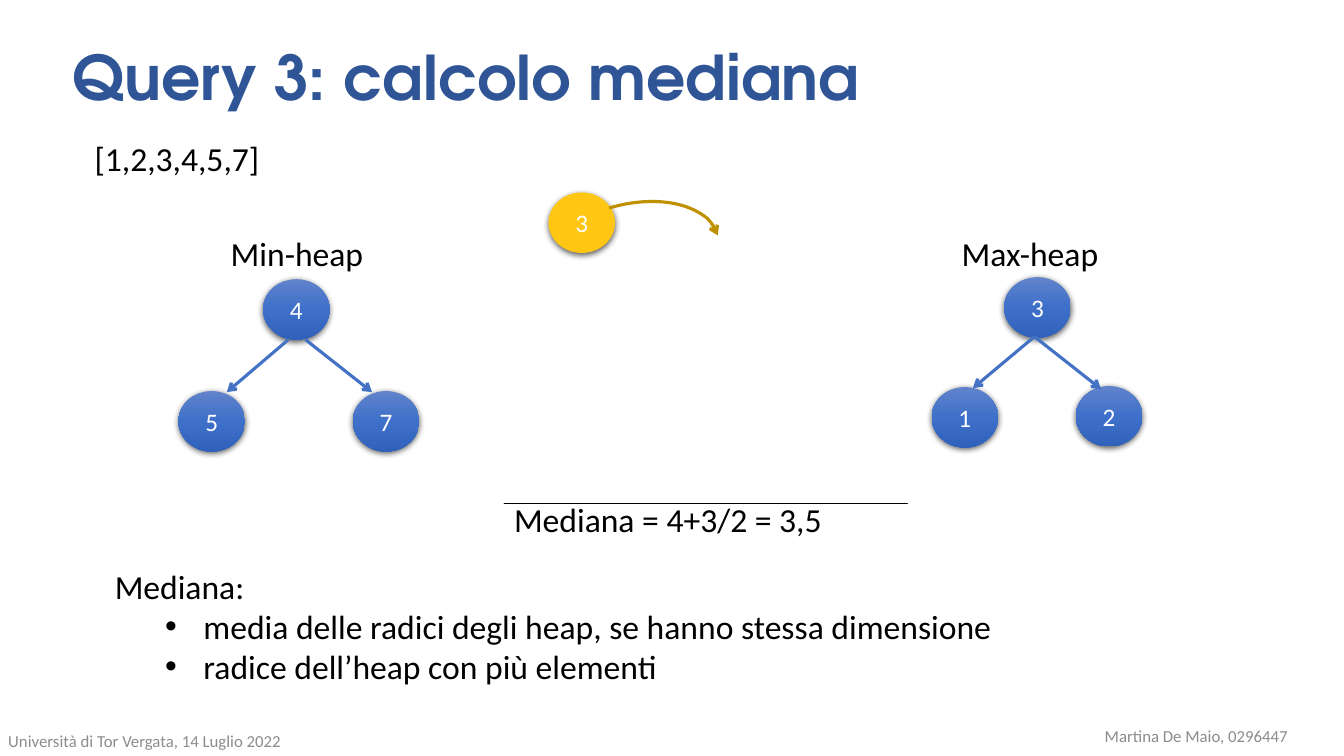
"""Build the slide that computes a median with a min-heap and a max-heap."""
from copy import deepcopy

from lxml.etree import SubElement
from pptx import Presentation
from pptx.dml.color import RGBColor
from pptx.enum.shapes import MSO_CONNECTOR, MSO_SHAPE
from pptx.enum.text import MSO_ANCHOR, MSO_AUTO_SIZE, PP_ALIGN
from pptx.oxml.ns import qn
from pptx.util import Inches, Pt

THEME = {
    "body_font": "Calibri", "title_font": "TeX Gyre Adventor",
    "title_size": 44, "body_size": 24, "node_size": 18, "footer_size": 12,
    "title": "2F5597", "text": "000000", "footer": "8C8C8C", "node_text": "FFFFFF",
    "node_gradient": [(0, "6183CB"), (0.5, "3E70CA"), (1, "3062BB")],
    "new_node": "FFC613", "edge": "4472C4", "arc": "BF9000",
    "edge_width": 2.25, "frame_width": 0.75,
}
TITLE = ("Query 3: calcolo mediana", (0.62, 0.07, 11.5, 1.45))
FOOTERS = [
    ("Martina De Maio, 0296447", (10.29, 7.1, 3.15, 0.4)),
    ("Università di Tor Vergata, 14 Luglio 2022", (-0.14, 7.15, 3.15, 0.4)),
]
SEQUENCE = ("[1,2,3,4,5,7]", (0.84, 1.32, 6.79, 0.5))
HEAPS = [
    {"label": ("Min-heap", (2.19, 2.26, 1.64, 0.5)),
     "nodes": [("4", 2.61, 2.77), ("5", 1.77, 3.88), ("7", 3.5, 3.88)],
     "edges": [(2.86, 3.37, 2.25, 3.89), (3.03, 3.37, 3.69, 3.89)]},
    {"label": ("Max-heap", (9.44, 2.26, 1.7, 0.5)),
     "nodes": [("3", 9.96, 2.75), ("1", 9.24, 3.84), ("2", 10.67, 3.83)],
     "edges": [(10.26, 3.34, 9.65, 3.85), (10.26, 3.34, 10.92, 3.86)]},
]
NODE_SIZE = (0.66, 0.6)
NEW_NODE = ("3", 5.44, 1.91)
ARC_PLACE = (5.25, 2.04, 1.91, 1.14)
ARC_ROTATION = 343.3
RESULT = "Mediana = 4+3/2 = 3,5"
FRAME_START = (4.66, 4.67)
FRAME_CURVES = [
    ((5.49, 4.61), (8.39, 4.77), (8.87, 4.67)),
    ((8.92, 4.8), (8.9, 5.12), (8.87, 5.17)),
    ((8.43, 5.23), (5.12, 5.11), (4.66, 5.17)),
    ((4.69, 4.94), (4.65, 4.83), (4.66, 4.67)),
]
CURVE_STEPS = 24
RULE_TITLE = "Mediana:"
RULES = [
    "media delle radici degli heap, se hanno stessa dimensione",
    "radice dell’heap con più elementi",
]
RULES_PLACE = (1.04, 5.56, 12.1, 1.31)
RULE_INDENT = (0.88, -0.38)


def color(name):
    return RGBColor.from_string(name)


def inches(values):
    return [Inches(value) for value in values]


def write(frame, lines, size, ink, font="body_font", align=PP_ALIGN.LEFT, bold=False):
    frame.text = "\n".join(lines)
    for para in frame.paragraphs:
        para.alignment = align
        for span in para.runs:
            span.font.name = THEME[font]
            span.font.size = Pt(THEME[size])
            span.font.bold = bold
            span.font.color.rgb = color(THEME[ink])


def add_text(page, lines, place, size="body_size", ink="text", wrap=True,
             anchor=MSO_ANCHOR.TOP, **style):
    frame = page.shapes.add_textbox(*inches(place)).text_frame
    frame.word_wrap = wrap
    frame.vertical_anchor = anchor
    write(frame, lines, size, ink, **style)
    return frame


def fill_gradient(shape, stops):
    shape.fill.gradient()
    shape.fill.gradient_angle = 270
    stop_list = shape._element.spPr.find(qn("a:gradFill")).find(qn("a:gsLst"))
    stop_list.insert(1, deepcopy(stop_list[0]))
    for stop, (position, name) in zip(shape.fill.gradient_stops, stops):
        stop.position = position
        stop.color.rgb = color(name)


def add_shadow(shape):
    shape.shadow.inherit = False
    effects = shape._element.spPr.find(qn("a:effectLst"))
    shadow = SubElement(effects, qn("a:outerShdw"), blurRad=str(Pt(4.5)),
                        dist=str(Pt(1.5)), dir="5400000", algn="ctr", rotWithShape="0")
    black = SubElement(shadow, qn("a:srgbClr"), val="000000")
    SubElement(black, qn("a:alpha"), val="63000")


def add_node(page, label, left, top, solid=None):
    node = page.shapes.add_shape(MSO_SHAPE.OVAL, *inches((left, top, *NODE_SIZE)))
    if solid:
        node.fill.solid()
        node.fill.fore_color.rgb = color(solid)
    else:
        fill_gradient(node, THEME["node_gradient"])
    node.line.fill.background()
    add_shadow(node)
    node.text_frame.vertical_anchor = MSO_ANCHOR.MIDDLE
    write(node.text_frame, [label], "node_size", "node_text", align=PP_ALIGN.CENTER)


def style_arrow(shape, ink):
    shape.line.color.rgb = color(THEME[ink])
    shape.line.width = Pt(THEME["edge_width"])
    SubElement(shape.line._get_or_add_ln(), qn("a:tailEnd"), type="arrow")


def add_heap(page, heap):
    label, place = heap["label"]
    add_text(page, [label], place, wrap=False)
    for node in heap["nodes"]:
        add_node(page, *node)
    for edge in heap["edges"]:
        arrow = page.shapes.add_connector(MSO_CONNECTOR.STRAIGHT, *inches(edge))
        style_arrow(arrow, "edge")
        SubElement(arrow._element.spPr, qn("a:effectLst"))


def curve_points(start, curves):
    points = []
    for first, second, end in curves:
        for step in range(1, CURVE_STEPS + 1):
            t = step / CURVE_STEPS
            weights = ((1 - t) ** 3, 3 * t * (1 - t) ** 2, 3 * t * t * (1 - t), t ** 3)
            corners = (start, first, second, end)
            points.append(tuple(sum(weight * corner[axis] for weight, corner
                                    in zip(weights, corners)) for axis in (0, 1)))
        start = end
    return points


def add_result(page):
    builder = page.shapes.build_freeform(*FRAME_START, scale=Inches(1))
    builder.add_line_segments(curve_points(FRAME_START, FRAME_CURVES), close=True)
    box = builder.convert_to_shape()
    box.fill.background()
    box.line.color.rgb = color(THEME["text"])
    box.line.width = Pt(THEME["frame_width"])
    box.shadow.inherit = False
    box.text_frame.word_wrap = True
    box.text_frame.vertical_anchor = MSO_ANCHOR.TOP
    write(box.text_frame, [RESULT], "body_size", "text")


def add_rules(page):
    frame = add_text(page, [RULE_TITLE, *RULES], RULES_PLACE)
    frame.auto_size = MSO_AUTO_SIZE.SHAPE_TO_FIT_TEXT
    margin, hanging = inches(RULE_INDENT)
    for para in frame.paragraphs[1:]:
        para.level = 1
        settings = para._p.get_or_add_pPr()
        settings.set("marL", str(margin))
        settings.set("indent", str(hanging))
        SubElement(settings, qn("a:buFont"), typeface="Arial")
        SubElement(settings, qn("a:buChar"), char="•")


def main():
    deck = Presentation()
    deck.slide_width, deck.slide_height = inches((13.33, 7.5))
    page = deck.slides.add_slide(deck.slide_layouts[6])
    title, place = TITLE
    heading = add_text(page, [title], place, "title_size", "title",
                       anchor=MSO_ANCHOR.MIDDLE, font="title_font", bold=True)
    heading.paragraphs[0].line_spacing = 0.9
    for footer, place in FOOTERS:
        add_text(page, [footer], place, "footer_size", "footer",
                 anchor=MSO_ANCHOR.MIDDLE, align=PP_ALIGN.CENTER)
    sequence, place = SEQUENCE
    add_text(page, [sequence], place)
    for heap in HEAPS:
        add_heap(page, heap)
    add_rules(page)
    add_result(page)
    add_node(page, *NEW_NODE, solid=THEME["new_node"])
    arc = page.shapes.add_shape(MSO_SHAPE.ARC, *inches(ARC_PLACE))
    arc.rotation = ARC_ROTATION
    arc.fill.background()
    style_arrow(arc, "arc")
    arc.shadow.inherit = False
    deck.save("out.pptx")


if __name__ == "__main__":
    main()
